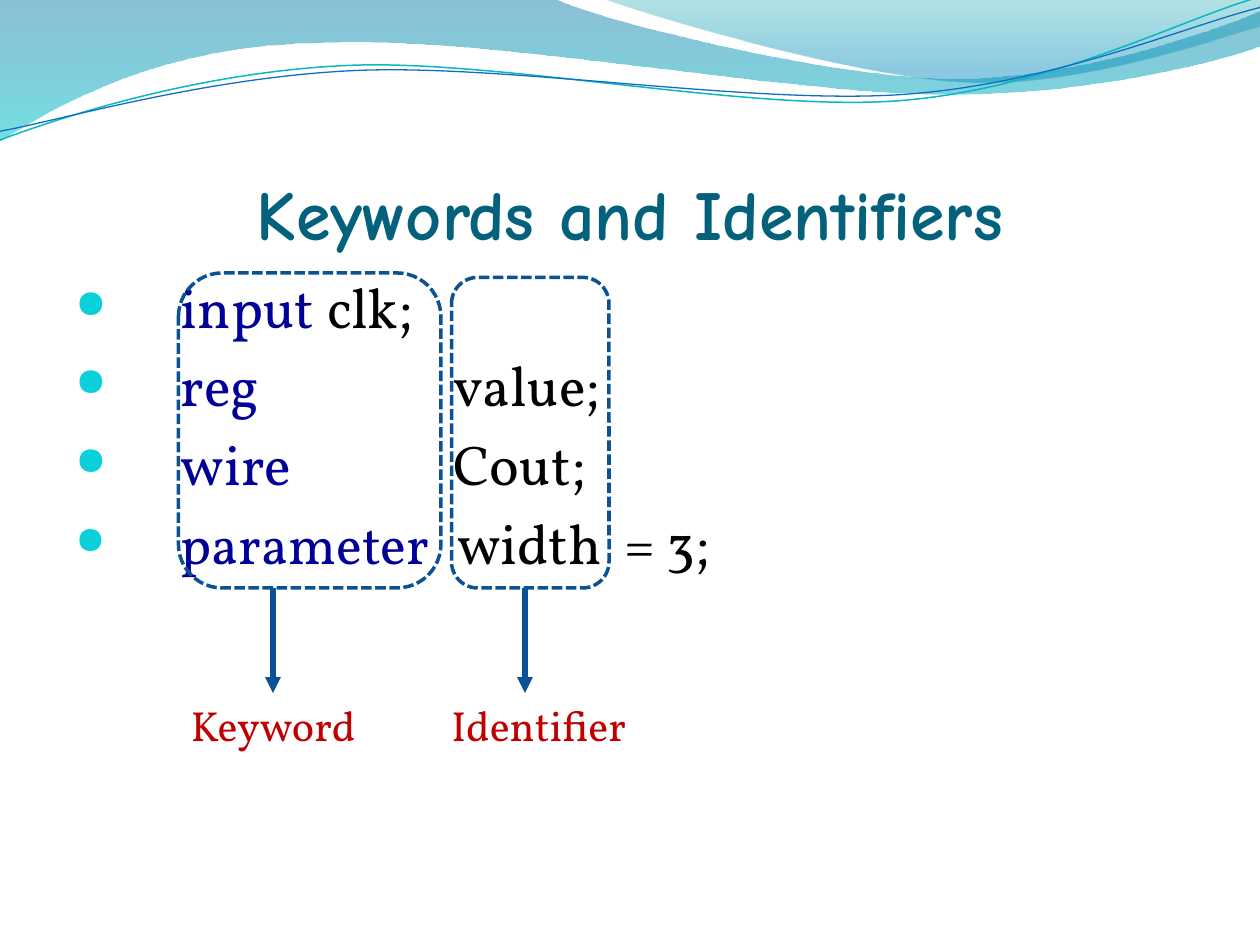
import pptx
import pptx.dml.color
import pptx.enum.dml
import pptx.enum.shapes
import pptx.enum.text
import pptx.oxml
import pptx.oxml.ns
import pptx.util
from lxml import etree

Pt = pptx.util.Pt
RGB = pptx.dml.color.RGBColor
ALIGN = pptx.enum.text.PP_ALIGN
ANCHOR = pptx.enum.text.MSO_ANCHOR
qn = pptx.oxml.ns.qn
NS = pptx.oxml.ns.nsdecls("a")

TITLE_TEAL = RGB(0x04, 0x61, 0x7B)
KEYWORD_BLUE = RGB(0x00, 0x00, 0x99)
BLACK = RGB(0, 0, 0)
LABEL_RED = RGB(0xC0, 0, 0)
FRAME_BLUE = RGB(0x0B, 0x52, 0x92)
ARROW_BLUE = RGB(0x09, 0x52, 0x95)
BULLET_CYAN = RGB(0x0B, 0xD0, 0xD9)
WAVE_TEAL = RGB(0x0A, 0xB8, 0xBF)
WAVE_BLUE = RGB(0x0F, 0x6F, 0xC6)
BODY_FONT = "Vollkorn"
TAB_STEP, BULLET_INDENT = Pt(72), Pt(60.25)

# Content: declarations as runs of (text, size, colour, extra letter spacing)
DECLARATIONS = [
    [("input\t", 32, KEYWORD_BLUE, 0), ("clk;", 32, BLACK, 0)],
    [("reg\t\t", 32, KEYWORD_BLUE, 0), ("value;", 32, BLACK, 0)],
    [("wire\t\t", 32, KEYWORD_BLUE, 0), ("Cout;", 32, BLACK, 0)],
    [("parameter", 31, KEYWORD_BLUE, 0), ("\t", 32, BLACK, 0),
     (" ", 10.5, BLACK, 0), ("width", 32, BLACK, 0),
     (" ", 32, BLACK, 6.5), ("= 3;", 32, BLACK, 0)],
]
# Frames (left, top, width) share one bottom edge; each has an arrow at x
FRAMES = [((102, 156, 150), 156), ((258, 158.5, 90), 300)]
FRAME_BOTTOM, ARROW_END = 336, 396

# Banner outlines: pairs are straight steps, six numbers are a Bezier curve
BANDS = [
    ([(0, -0.7), (317, -0.7), (343, 12, 478, 45, 546, 45),
      (614, 45, 690, 19, 720, 6.5), (721, 26),
      (708, 32, 626, 55, 537, 54), (448, 54, 275, 20, 185, 24.5),
      (93, 25, 33, 60, -0.7, 81)],
     [(0, "0074A1", 45), (100, "00C6CF", 55)]),
    ([(345, -0.7), (367, 8, 491, 45, 554, 47),
      (616, 49.5, 692, 23, 720, 15), (720, 0)],
     [(0, "00A1A9", 30), (80, "008BBF", 45)]),
]
WAVES = [
    ([(0, 80), (34.6, 67, 113.8, 41, 199.4, 37.4),
      (284.4, 33.8, 427, 64, 513.4, 57.6),
      (599.8, 51, 675.4, 10.8, 718.6, -1.4)], WAVE_TEAL, 0.85),
    ([(0, 75), (34, 69, 118, 44, 204, 40.3),
      (290, 36.7, 430, 60, 516, 54),
      (602, 48, 677, 15, 720, 4.3)], WAVE_BLUE, 0.75),
]

deck = pptx.Presentation()
deck.slide_width, deck.slide_height = Pt(720), Pt(540)
slide = deck.slides.add_slide(deck.slide_layouts[6])


def add_outline(steps, closed):
    points = [(Pt(step[i]), Pt(step[i + 1]))
              for step in steps for i in range(0, len(step), 2)]
    builder = slide.shapes.build_freeform(*points[0])
    builder.add_line_segments(points[1:], close=closed)
    outline = builder.convert_to_shape()
    outline.shadow.inherit = False
    outline.fill.background()
    # Join each three points of a curved step into one Bezier segment
    segments = iter(list(outline.element.iter(qn("a:lnTo"))))
    for step in steps[1:]:
        first = next(segments)
        if len(step) == 6:
            first.tag = qn("a:cubicBezTo")
            for _ in range(2):
                other = next(segments)
                first.append(other[0])
                other.getparent().remove(other)
    return outline


def add_text(left, top, width, height, insets=(7.2, 3.6, 7.2, 3.6), anchor=ANCHOR.TOP):
    frame = slide.shapes.add_textbox(Pt(left), Pt(top), Pt(width), Pt(height)).text_frame
    frame.word_wrap = True
    frame.vertical_anchor = anchor
    (frame.margin_left, frame.margin_top,
     frame.margin_right, frame.margin_bottom) = map(Pt, insets)
    return frame


def style(font, name, size, color):
    font.name, font.size, font.color.rgb = name, Pt(size), color


def set_tabs(paragraph):
    props = paragraph._p.get_or_add_pPr()
    props.set("defTabSz", str(TAB_STEP))
    return props


# Banner
for steps, stops in BANDS:
    band = add_outline(steps, True)
    band.line.fill.background()
    stop_xml = "".join(
        f'<a:gs pos="{pos * 1000}"><a:srgbClr val="{color}">'
        f'<a:alpha val="{opacity * 1000}"/></a:srgbClr></a:gs>'
        for pos, color, opacity in stops)
    gradient = pptx.oxml.parse_xml(
        f'<a:gradFill {NS}><a:gsLst>{stop_xml}</a:gsLst>'
        '<a:lin ang="5400000" scaled="0"/></a:gradFill>')
    no_fill = band.element.spPr.find(qn("a:noFill"))
    band.element.spPr.replace(no_fill, gradient)
for steps, color, weight in WAVES:
    wave = add_outline(steps, False)
    wave.line.color.rgb, wave.line.width = color, Pt(weight)

# Title
title = add_text(36, 55.5, 648, 90, (0, 3.6, 0, 0), ANCHOR.BOTTOM).paragraphs[0]
title.text, title.alignment = "Keywords and Identifiers", ALIGN.CENTER
style(title.font, "Comic Neue", 40, TITLE_TEAL)
title.font.bold = True

# Bulleted declarations
body = add_text(36, 145.4, 450, 188)
for row, runs in enumerate(DECLARATIONS):
    declaration = body.add_paragraph() if row else body.paragraphs[0]
    declaration.line_spacing = Pt(45)
    props = set_tabs(declaration)
    props.set("marL", str(BULLET_INDENT))
    props.set("indent", str(-BULLET_INDENT))
    for bullet_xml in (f'<a:buClr {NS}><a:srgbClr val="{BULLET_CYAN}"/></a:buClr>',
                       f'<a:buSzPct {NS} val="70000"/>',
                       f'<a:buChar {NS} char="●"/>'):
        props.append(pptx.oxml.parse_xml(bullet_xml))
    for text, size, color, spacing in runs:
        run = declaration.add_run()
        run.text = text
        style(run.font, BODY_FONT, size, color)
        if spacing:
            run.font._element.set("spc", str(int(spacing * 100)))

# Dashed frames and their arrows
for (left, top, width), arrow_x in FRAMES:
    frame = slide.shapes.add_shape(
        pptx.enum.shapes.MSO_SHAPE.ROUNDED_RECTANGLE,
        Pt(left), Pt(top), Pt(width), Pt(FRAME_BOTTOM - top))
    frame.shadow.inherit = False
    frame.fill.background()
    frame.line.color.rgb, frame.line.width = FRAME_BLUE, Pt(2)
    frame.line.dash_style = pptx.enum.dml.MSO_LINE.SQUARE_DOT

    arrow = slide.shapes.add_connector(
        pptx.enum.shapes.MSO_CONNECTOR.STRAIGHT,
        Pt(arrow_x), Pt(FRAME_BOTTOM), Pt(arrow_x), Pt(ARROW_END))
    arrow.line.color.rgb, arrow.line.width = ARROW_BLUE, Pt(3)
    etree.SubElement(arrow.line._get_or_add_ln(), qn("a:tailEnd"), type="triangle")
    etree.SubElement(arrow._element.spPr, qn("a:effectLst"))

# Labels under the arrows
labels = add_text(102, ARROW_END, 270, 36).paragraphs[0]
labels.text = "Keyword\t Identifier"
style(labels.font, BODY_FONT, 24, LABEL_RED)
set_tabs(labels)

deck.save("out.pptx")
